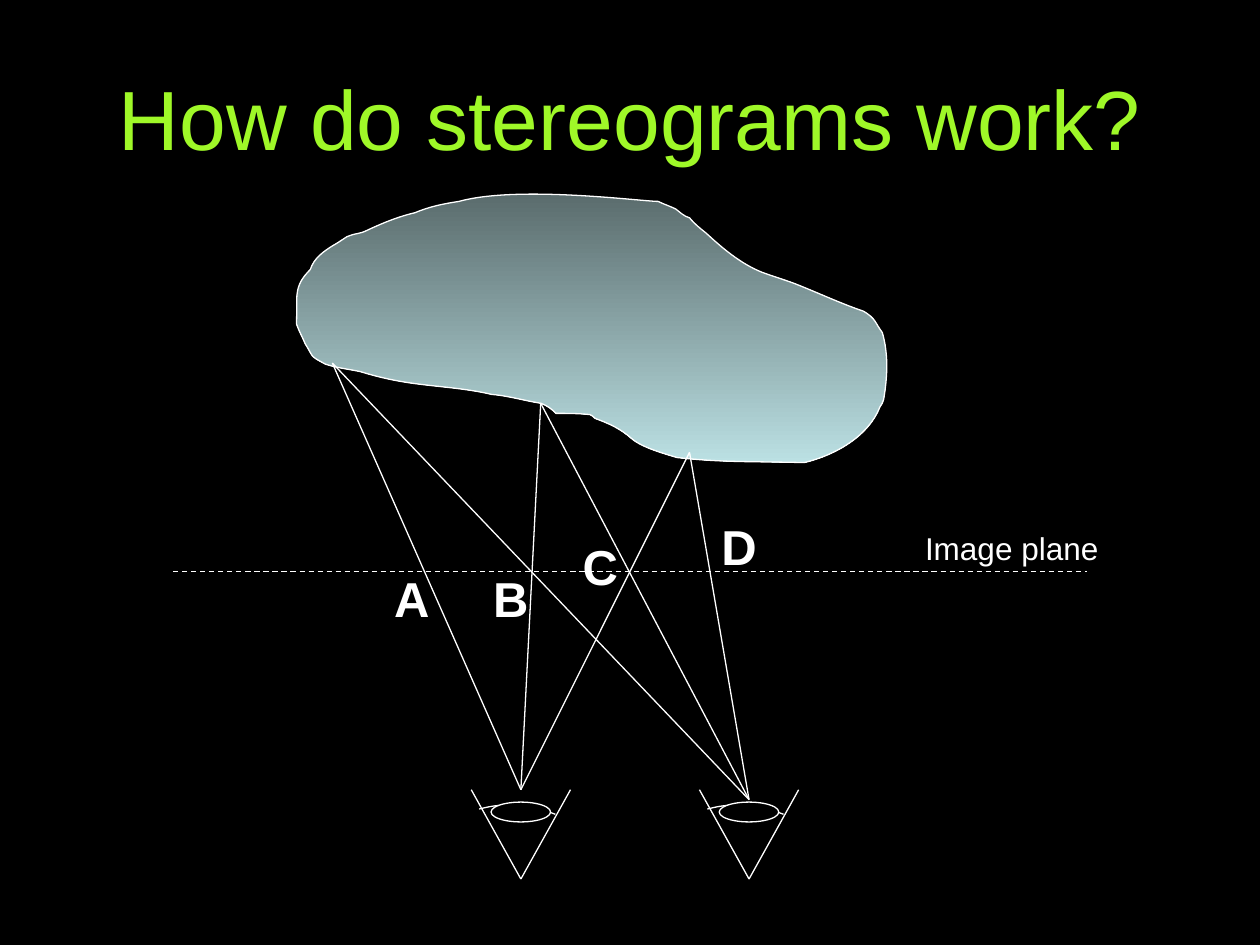
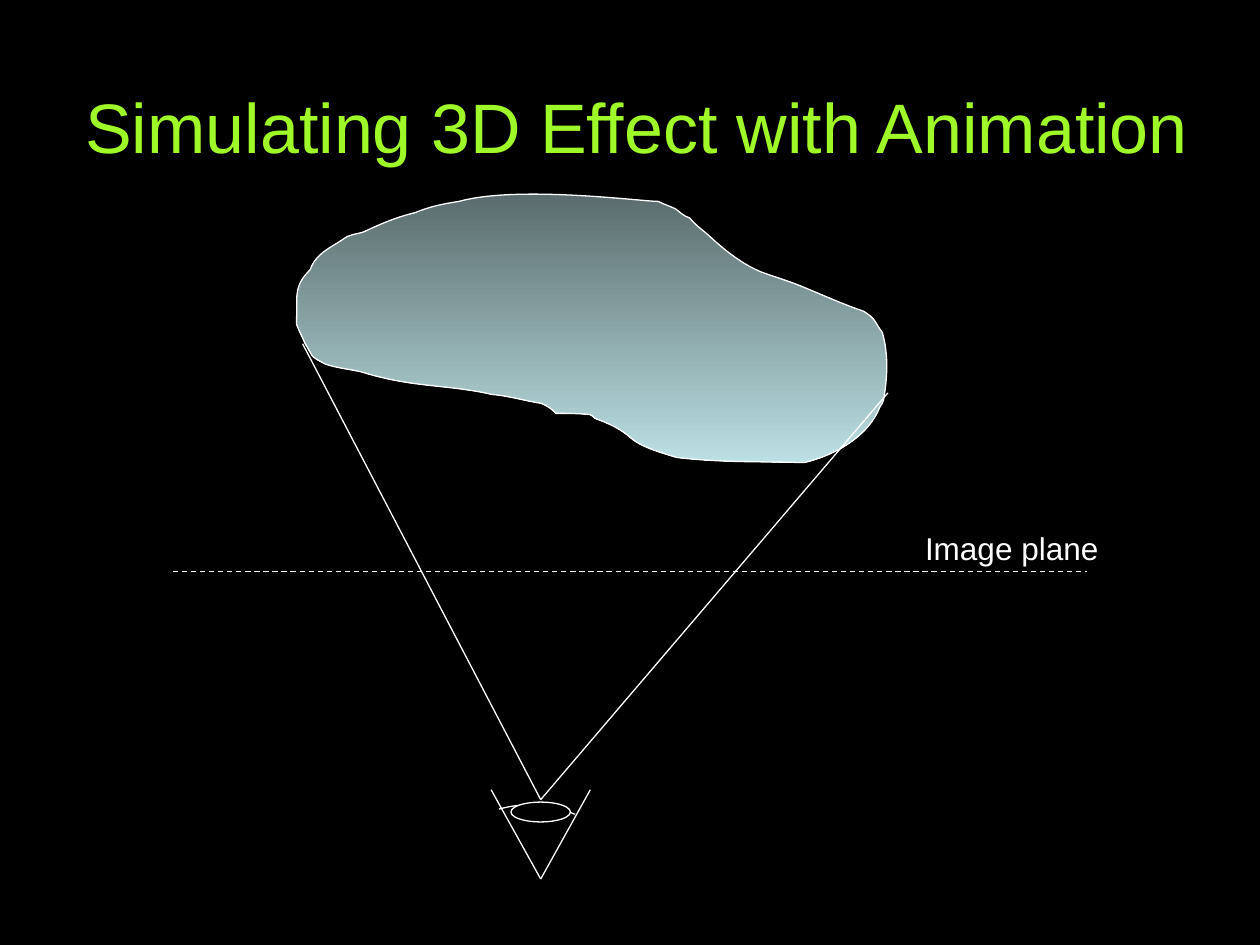
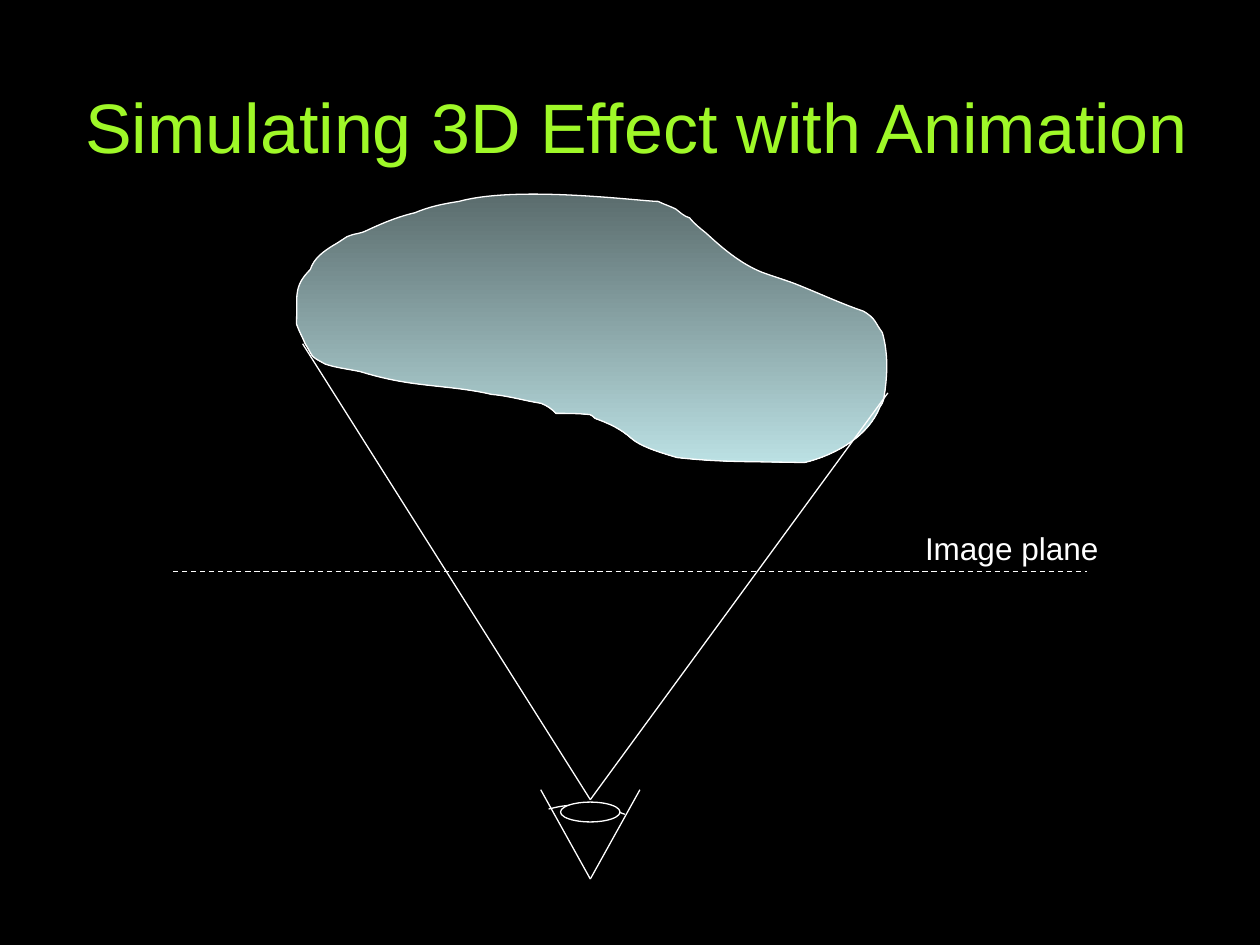
from collections import namedtuple
from copy import deepcopy

from lxml.etree import SubElement
from pptx import Presentation
from pptx.dml.color import RGBColor
from pptx.enum.dml import MSO_LINE
from pptx.enum.shapes import MSO_CONNECTOR as Connector, MSO_SHAPE as Preset
from pptx.enum.text import MSO_ANCHOR as Anchor, MSO_AUTO_SIZE as AutoSize, PP_ALIGN as Align
from pptx.oxml.ns import qn
from pptx.util import Cm, Pt

BLACK = RGBColor(0x00, 0x00, 0x00)
WHITE = RGBColor(0xFF, 0xFF, 0xFF)
LIME = RGBColor(0x9F, 0xF8, 0x28)
SLATE = RGBColor(0x57, 0x68, 0x69)
PALE_TEAL = RGBColor(0xBB, 0xE0, 0xE3)
FONT = "Arial"
LINE_WIDTH = Pt(0.75)
TITLE_ONLY = 5

Box = namedtuple("Box", "left top width height")
Point = namedtuple("Point", "x y")

TALL_TITLE = Box(1.27, 0.18, 22.86, 4.34)
WIDE_TITLE = Box(0.77, 0.95, 24.13, 3.18)
CLOUD = Box(5.9, 3.73, 11.99, 5.62)
IMAGE_PLANE = Box(3.49, 10.54, 18.42, 0.98)
EYE_TOP, EYE_WIDTH, EYE_HEIGHT = 15.92, 2, 1.8

CLOUD_GRID = (472, 221)
CLOUD_START = (197, 173)
CLOUD_CURVES = [
    (184, 171, 171, 167, 158, 166), (137, 161, 115, 160, 94, 157),
    (80, 155, 67, 152, 54, 148), (45, 146, 35, 145, 26, 142),
    (13, 135, 17, 137, 10, 126), (8, 121, 5, 116, 3, 110),
    (4, 88, 0, 81, 14, 67), (17, 58, 24, 53, 32, 48),
    (34, 47, 40, 43, 43, 41), (53, 37, 51, 40, 61, 35),
    (72, 30, 84, 25, 97, 22), (109, 17, 119, 15, 132, 13),
    (179, 0, 277, 13, 290, 13), (294, 15, 300, 17, 304, 19),
    (306, 20, 307, 22, 309, 23), (311, 25, 313, 25, 315, 26),
    (319, 31, 323, 34, 328, 38), (341, 50, 355, 62, 372, 69),
    (380, 72, 390, 75, 398, 78), (416, 85, 435, 94, 453, 100),
    (463, 106, 462, 109, 468, 117), (473, 135, 472, 152, 469, 170),
    (469, 172, 467, 174, 466, 176), (457, 199, 431, 214, 406, 220),
    (364, 219, 341, 220, 305, 216), (295, 213, 277, 208, 269, 201),
    (260, 193, 251, 189, 240, 185), (239, 184, 237, 182, 236, 182),
    (227, 181, 218, 181, 209, 181), (205, 177, 202, 175, 197, 173),
]
LID_GRID = (58, 116)
LID_START = (0, 0)
LID_CURVES = [(2, 0, 3, 0, 5, 0), (23, 0, 42, 7, 58, 18)]
LID_CENTER = (5, 116)
LID_TILT = -13.3


def lengths(box):
    return [Cm(value) for value in box]


def write_text(shape, text, *, size, color=WHITE, bold=False, anchor=Anchor.TOP):
    frame = shape.text_frame
    frame.word_wrap = True
    frame.auto_size = AutoSize.NONE
    frame.vertical_anchor = anchor
    paragraph = frame.paragraphs[0]
    paragraph.text = text
    paragraph.alignment = Align.CENTER
    paragraph.space_before = Pt(0)
    font = paragraph.font
    font.name, font.size, font.bold = FONT, Pt(size), bold
    font.color.rgb = color


def add_label(slide, box, text, **text_format):
    write_text(slide.shapes.add_textbox(*lengths(box)), text, **text_format)


def style_outline(shape):
    shape.line.color.rgb = WHITE
    shape.line.width = LINE_WIDTH


def add_line(slide, start, end, dash=None):
    connector = slide.shapes.add_connector(Connector.STRAIGHT, *lengths(start), *lengths(end))
    style_outline(connector)
    if dash:
        connector.line.dash_style = dash
    SubElement(connector._element.spPr, qn("a:effectLst"))


def bend_segments(path, curve_count):
    segments = path.findall(qn("a:lnTo"))[:3 * curve_count]
    for first, second, third in zip(*[iter(segments)] * 3):
        first.tag = qn("a:cubicBezTo")
        for segment in (second, third):
            first.append(segment[0])
            path.remove(segment)


def add_outline(slide, box, grid, start, curves, corners=()):
    controls = [curve[index:index + 2] for curve in curves for index in (0, 2, 4)]
    points = [
        (Cm(box.left + x * box.width / grid[0]), Cm(box.top + y * box.height / grid[1]))
        for x, y in (start, *controls, *corners)]
    builder = slide.shapes.build_freeform(*points[0])
    builder.add_line_segments(points[1:], close=True)
    shape = builder.convert_to_shape()
    shape.shadow.inherit = False
    style_outline(shape)
    path = next(shape._element.iter(qn("a:path")))
    bend_segments(path, len(curves))
    return shape, path


def add_cloud(slide, box):
    cloud, _ = add_outline(slide, box, CLOUD_GRID, CLOUD_START, CLOUD_CURVES)
    cloud.fill.gradient()
    cloud.fill.gradient_angle = 270
    for stop, color, position in zip(cloud.fill.gradient_stops, (SLATE, PALE_TEAL), (0, 1)):
        stop.color.rgb = color
        stop.position = position


def add_image_plane(slide, box):
    bottom = box.top + box.height
    add_line(slide, Point(box.left, bottom), Point(box.left + box.width, bottom), MSO_LINE.DASH)
    add_label(slide, Box(box.left + 14.01, box.top, 5.79, 1.02), "Image plane", size=18)


def add_lid(slide, box):
    lid, arc = add_outline(slide, box, LID_GRID, LID_START, LID_CURVES, [LID_CENTER])
    lid.fill.background()
    lid.rotation = LID_TILT
    sector = deepcopy(arc)
    sector.set("stroke", "0")
    arc.addnext(sector)
    arc.set("fill", "none")
    for tag in ("a:lnTo", "a:close"):
        arc.remove(arc.find(qn(tag)))


def add_eye(slide, box):
    apex = Point(box.left + box.width / 2, box.top + box.height)
    for x in (box.left, box.left + box.width):
        add_line(slide, Point(x, box.top), apex)
    add_lid(slide, Box(box.left + 0.48, box.top + 0.18, 1.47, 2.95))
    pupil_box = Box(box.left + 0.4, box.top + 0.25, 1.2, 0.4)
    pupil = slide.shapes.add_shape(Preset.OVAL, *lengths(pupil_box))
    pupil.shadow.inherit = False
    pupil.fill.solid()
    pupil.fill.fore_color.rgb = BLACK
    style_outline(pupil)


def add_scene(presentation, title, title_box, title_size, eye_centers):
    slide = presentation.slides.add_slide(presentation.slide_layouts[TITLE_ONLY])
    heading = slide.shapes.title
    heading.left, heading.top, heading.width, heading.height = lengths(title_box)
    write_text(heading, title, size=title_size, color=LIME, anchor=Anchor.MIDDLE)
    add_cloud(slide, CLOUD)
    add_image_plane(slide, IMAGE_PLANE)
    for center in eye_centers:
        add_eye(slide, Box(center - EYE_WIDTH / 2, EYE_TOP, EYE_WIDTH, EYE_HEIGHT))
    return slide


def add_rays(slide, targets, focuses):
    for target in targets:
        for focus in focuses:
            add_line(slide, target, focus)


def add_stereogram_slide(presentation):
    left_eye, right_eye = 10.5, 15.1
    slide = add_scene(presentation, "How do stereograms work?", TALL_TITLE, 48,
                      (right_eye, left_eye))
    targets = Point(6.7, 7.32), Point(10.9, 8.13), Point(13.9, 9.12)
    add_rays(slide, targets, (Point(left_eye, EYE_TOP), Point(right_eye, EYE_TOP + 0.2)))
    label_places = {"A": (7.5, 11.33), "B": (9.5, 11.33), "C": (11.3, 10.69), "D": (14.1, 10.29)}
    for letter, (left, top) in label_places.items():
        add_label(slide, Box(left, top, 1.6, 1.45), letter, size=28, bold=True)


def add_animation_slide(presentation, eye_center):
    slide = add_scene(presentation, "Simulating 3D Effect with Animation", WIDE_TITLE, 40,
                      (eye_center,))
    add_rays(slide, (Point(6.1, 6.93), Point(17.9, 7.92)), (Point(eye_center, EYE_TOP + 0.2),))


def main():
    presentation = Presentation()
    presentation.slide_width, presentation.slide_height = Cm(25.4), Cm(19.05)
    background = presentation.slide_master.background.fill
    background.solid()
    background.fore_color.rgb = BLACK
    add_stereogram_slide(presentation)
    for eye_center in (10.9, 11.9):
        add_animation_slide(presentation, eye_center)
    presentation.save("out.pptx")


if __name__ == "__main__":
    main()
